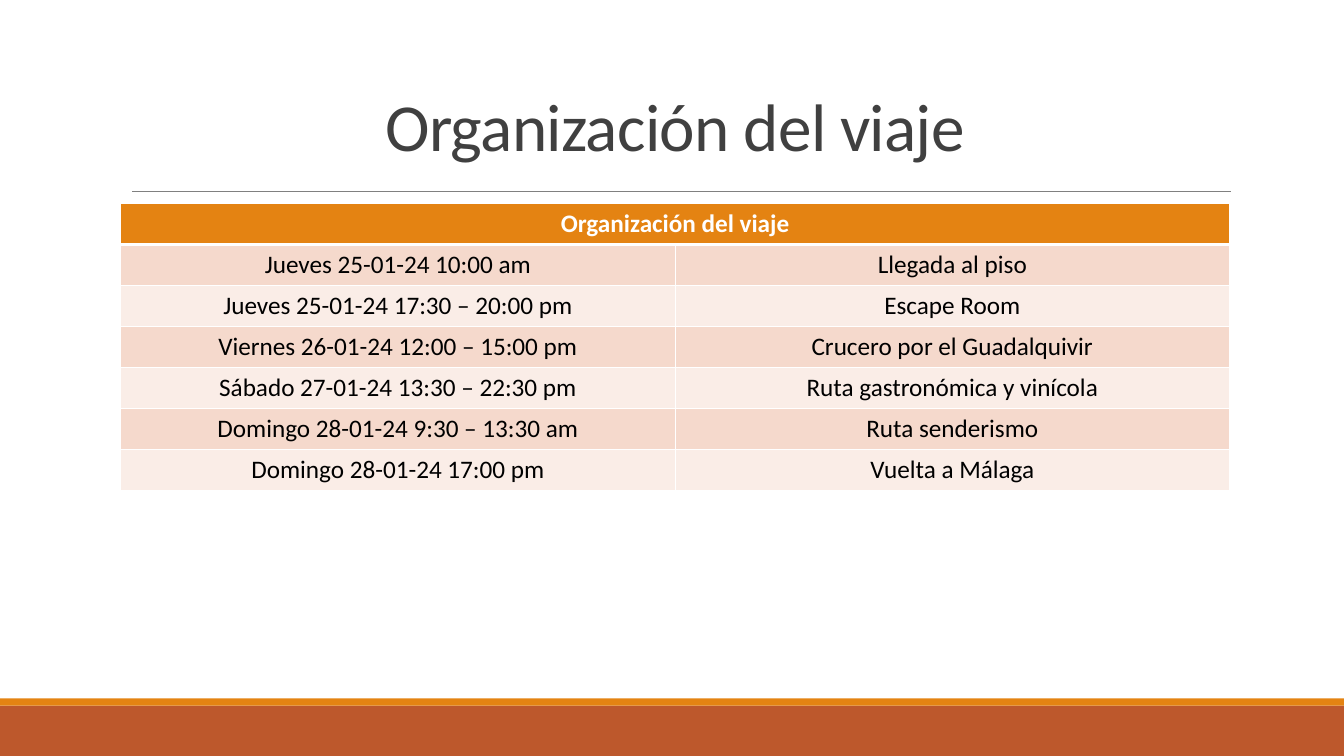
from lxml import etree
from pptx import Presentation
from pptx import util as u
from pptx.dml.color import RGBColor
from pptx.enum import shapes, text
from pptx.oxml import ns

PX = 9525  # EMU per px, 96 px to the inch
ORANGE, RUST, WHITE = "E48312", "BD582C", "FFFFFF"
BANDS = ("F5D9CC", "FAEDE7")
HEADING = "Organización del viaje"
PLAN = [
    ("Jueves 25-01-24 10:00 am", "Llegada al piso"),
    ("Jueves 25-01-24 17:30 – 20:00 pm", "Escape Room"),
    ("Viernes 26-01-24 12:00 – 15:00 pm", "Crucero por el Guadalquivir"),
    ("Sábado 27-01-24 13:30 – 22:30 pm", "Ruta gastronómica y vinícola"),
    ("Domingo 28-01-24 9:30 – 13:30 am", "Ruta senderismo"),
    ("Domingo 28-01-24 17:00 pm", "Vuelta a Málaga"),
]


def px(*values):
    return [u.Emu(v * PX) for v in values]


def rgb(value):
    return RGBColor.from_string(value)


def set_text(tf, content, color, **font):
    p = tf.paragraphs[0]
    p.alignment = text.PP_ALIGN.CENTER
    r = p.add_run()
    r.text = content
    r.font.color.rgb = rgb(color)
    for name, value in {"name": "Calibri", **font}.items():
        setattr(r.font, name, value)
    return p, r


def add_bar(slide, top, height, color):
    sp = slide.shapes.add_shape(shapes.MSO_SHAPE.RECTANGLE, *px(0, top, 1280, height))
    sp.shadow.inherit = False
    sp.fill.solid()
    sp.fill.fore_color.rgb = rgb(color)
    sp.line.fill.background()


def add_rule(slide, x1, x2, y):
    line = slide.shapes.add_connector(shapes.MSO_CONNECTOR.STRAIGHT, *px(x1, y, x2, y))
    line.line.color.rgb = rgb("808080")
    line.line.width = u.Pt(0.5)
    etree.SubElement(line._element.spPr, ns.qn("a:effectLst"))


def set_title(slide):
    sp = slide.shapes.title
    sp.left, sp.top, sp.width, sp.height = px(115, 51, 1056, 111)
    tf = sp.text_frame
    frame = {"vertical_anchor": text.MSO_ANCHOR.BOTTOM, "word_wrap": True,
             "auto_size": text.MSO_AUTO_SIZE.NONE}
    for name, value in frame.items():
        setattr(tf, name, value)
    p, r = set_text(tf, HEADING, "404040", size=u.Pt(48))
    p.line_spacing = 0.85
    r.font._element.set("spc", "-50")


def set_borders(cell, bottom):
    tcPr = cell._tc.get_or_add_tcPr()
    for i, (side, width) in enumerate(zip("LRTB", (1, 1, 1, bottom))):
        ln = etree.Element(ns.qn(f"a:ln{side}"), w=str(u.Pt(width)))
        fill = etree.SubElement(ln, ns.qn("a:solidFill"))
        etree.SubElement(fill, ns.qn("a:srgbClr"), val=WHITE)
        tcPr.insert(i, ln)


def style_cell(cell, fill, bottom=1):
    cell.fill.solid()
    cell.fill.fore_color.rgb = rgb(fill)
    set_borders(cell, bottom)


def add_plan(slide):
    rows = len(PLAN) + 1
    table = slide.shapes.add_table(rows, 2, *px(115, 194, 1056, 39 * rows)).table
    # Header across both columns
    for cell in table.rows[0].cells:
        style_cell(cell, ORANGE, bottom=3)
    header = table.cell(0, 0)
    header.merge(table.cell(0, 1))
    set_text(header.text_frame, HEADING, WHITE, size=u.Pt(18), bold=True)
    # Banded rows
    for i, entry in enumerate(PLAN):
        for j, content in enumerate(entry):
            cell = table.cell(i + 1, j)
            style_cell(cell, BANDS[i % 2])
            set_text(cell.text_frame, content, "000000", size=u.Pt(18), bold=False)


def main():
    prs = Presentation()
    prs.slide_width, prs.slide_height = px(1280, 720)
    slide = prs.slides.add_slide(prs.slide_layouts[5])  # title only
    # Footer bands and rule under the title
    add_bar(slide, 672, 48, RUST)
    add_bar(slide, 665, 7, ORANGE)
    add_rule(slide, 126, 1172, 182)
    # Content
    set_title(slide)
    add_plan(slide)
    prs.save("out.pptx")


if __name__ == "__main__":
    main()
